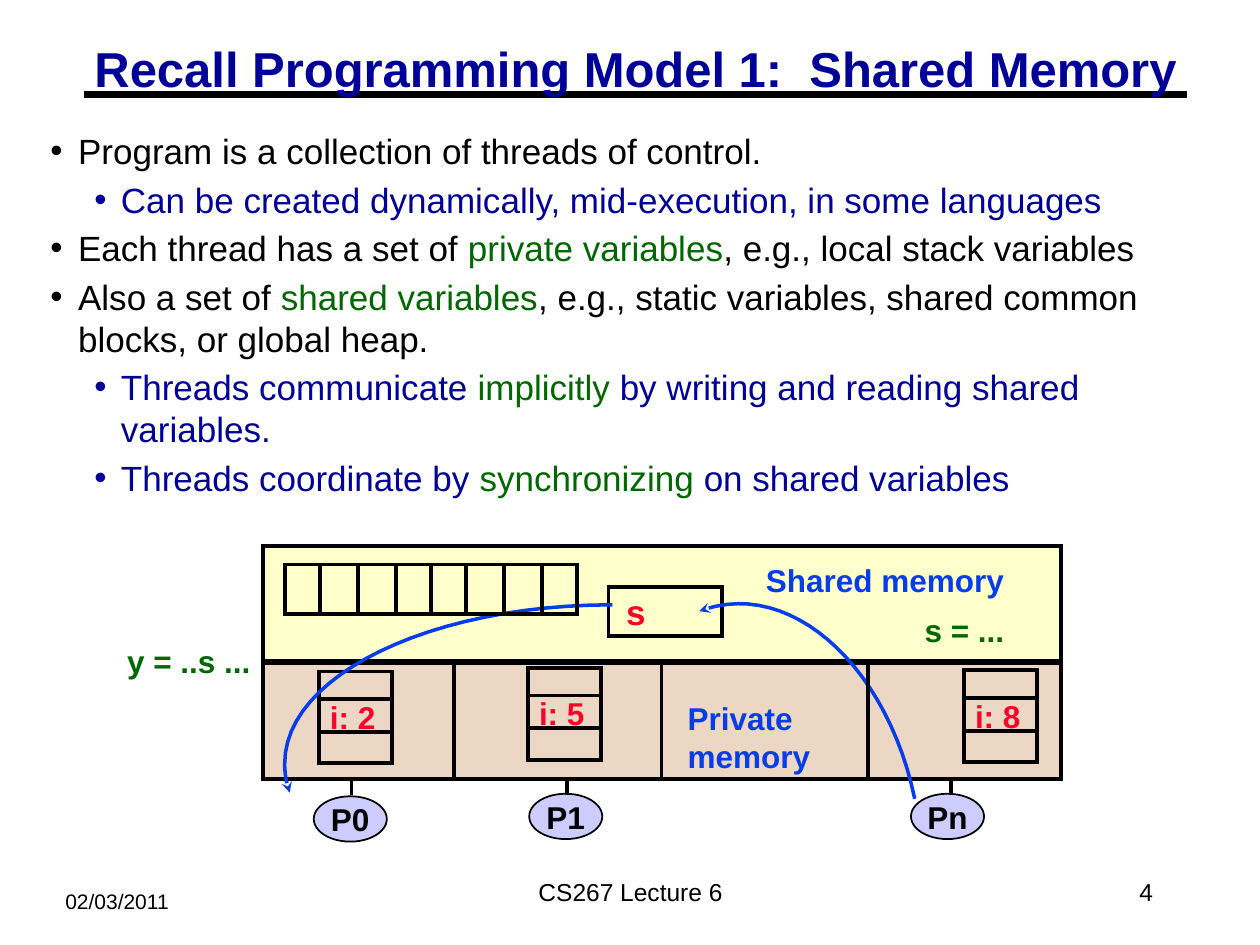
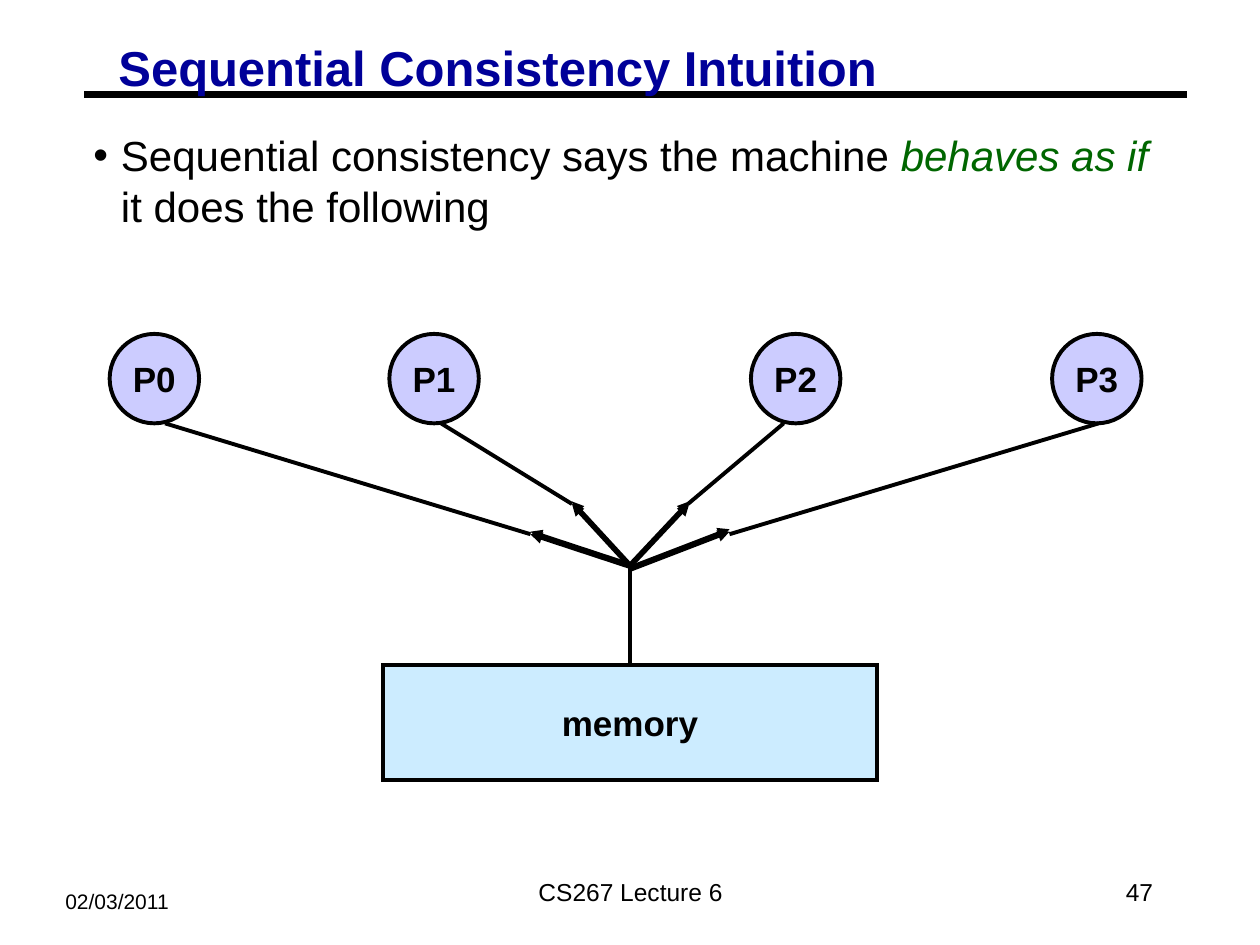
from dataclasses import dataclass
from typing import Optional

from lxml.etree import SubElement
from pptx import Presentation
from pptx.dml.color import RGBColor
from pptx.enum.shapes import MSO_CONNECTOR, MSO_SHAPE
from pptx.enum.text import MSO_ANCHOR, PP_ALIGN
from pptx.oxml.ns import qn
from pptx.util import Inches, Pt

BLACK = RGBColor(0x00, 0x00, 0x00)
NAVY = RGBColor(0x00, 0x00, 0x99)
GREEN = RGBColor(0x00, 0x66, 0x00)
RED = RGBColor(0xFC, 0x01, 0x28)
BLUE = RGBColor(0x06, 0x3D, 0xE8)
LILAC = RGBColor(0xCC, 0xCC, 0xFF)
CREAM = RGBColor(0xFF, 0xFF, 0xCC)
TAN = RGBColor(0xEB, 0xD7, 0xC3)
PALE_BLUE = RGBColor(0xCC, 0xEC, 0xFF)
FONT = "Arial"
LINE_WIDTH = 2.25

Point = tuple[float, float]
Rect = tuple[float, float, float, float]


@dataclass(frozen=True)
class Style:
    size: float = 18
    color: RGBColor = BLACK
    bold: bool = False
    align: PP_ALIGN = PP_ALIGN.LEFT
    anchor: MSO_ANCHOR = MSO_ANCHOR.TOP
    wrap: bool = False
    margins: Point = (0.1, 0.05)


@dataclass(frozen=True)
class Span:
    text: str
    color: Optional[RGBColor] = None
    italic: bool = False


@dataclass(frozen=True)
class Bullet:
    spans: list[Span]
    level: int = 0


@dataclass(frozen=True)
class Thread:
    name: str
    ellipse: Point
    record: Point
    value: str
    stem: float


TITLE = Style(28, NAVY, True, wrap=True, margins=(0.07, 0.03))
DATE = Style(12, wrap=True)
FOOTER = Style(14, align=PP_ALIGN.CENTER, anchor=MSO_ANCHOR.MIDDLE)
PAGE_NUMBER = Style(14, align=PP_ALIGN.RIGHT, anchor=MSO_ANCHOR.MIDDLE)
SMALL_NODE = Style(18, BLACK, True, PP_ALIGN.CENTER, MSO_ANCHOR.MIDDLE)
NODE = Style(20, BLACK, True, PP_ALIGN.CENTER, MSO_ANCHOR.MIDDLE)
VARIABLE = Style(20, RED, True, anchor=MSO_ANCHOR.MIDDLE, margins=(0.14, 0.05))
VALUE = Style(18, RED, True)
CODE = Style(18, GREEN, True)
REGION = Style(18, BLUE, True)
WRAPPED_REGION = Style(18, BLUE, True, wrap=True)

BULLET_COLORS = [BLACK, NAVY]
BULLET_INDENTS = [(0.22, -0.22), (0.56, -0.21)]


def inches(values) -> list:
    return [Inches(value) for value in values]


def set_frame(frame, style: Style) -> None:
    frame.word_wrap = style.wrap
    frame.vertical_anchor = style.anchor
    frame.margin_left = frame.margin_right = Inches(style.margins[0])
    frame.margin_top = frame.margin_bottom = Inches(style.margins[1])


def set_font(run, size: float, color: RGBColor, bold: bool = False) -> None:
    run.font.name = FONT
    run.font.size = Pt(size)
    run.font.color.rgb = color
    run.font.bold = bold


def write(frame, text: str, style: Style) -> None:
    set_frame(frame, style)
    frame.text = text
    paragraph = frame.paragraphs[0]
    paragraph.alignment = style.align
    set_font(paragraph.runs[0], style.size, style.color, style.bold)


def add_label(page, at: Rect, text: str, style: Style):
    box = page.shapes.add_textbox(*inches(at))
    write(box.text_frame, text, style)
    return box


def add_node(page, kind: MSO_SHAPE, at: Rect, fill: Optional[RGBColor] = None,
             text: str = "", style: Style = NODE, width: float = LINE_WIDTH):
    shape = page.shapes.add_shape(kind, *inches(at))
    shape.shadow.inherit = False
    if fill is None:
        shape.fill.background()
    else:
        shape.fill.solid()
        shape.fill.fore_color.rgb = fill
    shape.line.color.rgb = BLACK
    shape.line.width = Pt(width)
    SubElement(shape.line._get_or_add_ln(), qn("a:miter"), lim="800000")
    if text:
        write(shape.text_frame, text, style)
    return shape


def add_line(page, start: Point, end: Point, width: float = LINE_WIDTH, arrow: bool = False):
    line = page.shapes.add_connector(MSO_CONNECTOR.STRAIGHT, *inches(start + end))
    line.line.color.rgb = BLACK
    line.line.width = Pt(width)
    if arrow:
        SubElement(line.line._get_or_add_ln(), qn("a:tailEnd"), type="triangle")
    SubElement(line._element.spPr, qn("a:effectLst"))
    return line


def curve_points(start: Point, segments: list[tuple[Point, Point, Point]],
                 steps: int = 24) -> list[Point]:
    """Sample a chain of cubic Bezier segments."""
    points = [start]
    for first, second, end in segments:
        origin = points[-1]
        for step in range(1, steps + 1):
            t = step / steps
            weights = ((1 - t) ** 3, 3 * t * (1 - t) ** 2, 3 * t * t * (1 - t), t ** 3)
            corners = (origin, first, second, end)
            points.append(tuple(sum(w * corner[axis] for w, corner in zip(weights, corners))
                                for axis in (0, 1)))
    return points


def add_access_curve(page, points: list[Point]) -> None:
    """Draw an open curve with its arrowhead at the first point."""
    start, *rest = [inches(point) for point in points]
    builder = page.shapes.build_freeform(*start)
    builder.add_line_segments(rest, close=False)
    curve = builder.convert_to_shape()
    curve.shadow.inherit = False
    curve.fill.background()
    curve.line.color.rgb = BLUE
    curve.line.width = Pt(2)
    SubElement(curve.line._get_or_add_ln(), qn("a:headEnd"), type="stealth")


def add_bullets(page, at: Rect, bullets: list[Bullet], size: float, gap: float) -> None:
    frame = page.shapes.add_textbox(*inches(at)).text_frame
    set_frame(frame, Style(wrap=True, margins=(0.07, 0.03)))
    for index, bullet in enumerate(bullets):
        paragraph = frame.add_paragraph() if index else frame.paragraphs[0]
        color = BULLET_COLORS[bullet.level]
        paragraph.level = bullet.level
        if index:
            paragraph.space_before = Pt(gap)
        properties = paragraph._p.get_or_add_pPr()
        margin, indent = BULLET_INDENTS[bullet.level]
        properties.set("marL", str(Inches(margin)))
        properties.set("indent", str(Inches(indent)))
        SubElement(SubElement(properties, qn("a:buClr")), qn("a:srgbClr"), val=str(color))
        SubElement(properties, qn("a:buFont"), typeface=FONT)
        SubElement(properties, qn("a:buChar"), char="•")
        for span in bullet.spans:
            run = paragraph.add_run()
            run.text = span.text
            set_font(run, size, span.color or color)
            run.font.italic = span.italic


def add_page(deck, title: str, title_at: Rect, number: int):
    page = deck.slides.add_slide(deck.slide_layouts[6])
    add_line(page, (0.67, 0.75), (9.42, 0.75), 3.75)
    add_label(page, (0.42, 7, 1.92, 0.3), "02/03/2011", DATE)
    add_label(page, (3.42, 6.83, 3.17, 0.5), "CS267 Lecture 6", FOOTER)
    add_label(page, (7.17, 6.83, 2.08, 0.5), str(number), PAGE_NUMBER)
    heading = add_label(page, title_at, title, TITLE)
    heading.text_frame.paragraphs[0].line_spacing = 0.87
    return page


def add_array(page, left: float) -> None:
    top = 4.48
    for cell in range(3):
        x = left + 0.28 + 0.3 * cell
        add_line(page, (x, top), (x, top + 0.4))
    add_node(page, MSO_SHAPE.RECTANGLE, (left, top, 1.16, 0.39))


def add_thread(page, thread: Thread) -> None:
    add_node(page, MSO_SHAPE.OVAL, thread.ellipse + (0.58, 0.36), LILAC,
             thread.name, SMALL_NODE, 1)
    add_line(page, (thread.stem, 6.31), (thread.stem, 6.18))
    left, top = thread.record
    add_label(page, (left - 0.01, top + 0.16, 0.56, 0.4), thread.value, VALUE)
    add_node(page, MSO_SHAPE.RECTANGLE, (left, top, 0.58, 0.73))
    for offset in (0.22, 0.48):
        add_line(page, (left, top + offset), (left + 0.58, top + offset))


def add_shared_memory_page(deck) -> None:
    page = add_page(deck, "Recall Programming Model 1:  Shared Memory",
                    (0.68, 0.34, 8.83, 0.47), 4)
    add_bullets(page, (0.33, 1, 9.16, 2.98), [
        Bullet([Span("Program is a collection of threads of control.")]),
        Bullet([Span("Can be created dynamically, mid-execution, in some languages")], 1),
        Bullet([Span("Each thread has a set of "), Span("private variables", GREEN),
                Span(", e.g., local stack variables")]),
        Bullet([Span("Also a set of "), Span("shared variables", GREEN),
                Span(", e.g., static variables, shared common blocks, or global heap.")]),
        Bullet([Span("Threads communicate "), Span("implicitly", GREEN),
                Span(" by writing and reading shared variables.")], 1),
        Bullet([Span("Threads coordinate by "), Span("synchronizing ", GREEN),
                Span("on shared variables")], 1),
    ], 20, 3.7)

    for top, fill in ((4.33, CREAM), (5.26, TAN)):
        add_node(page, MSO_SHAPE.RECTANGLE, (2.09, top, 6.33, 0.92), fill)
    add_node(page, MSO_SHAPE.RECTANGLE, (4.83, 4.66, 0.9, 0.39), None, "s", VARIABLE, 2)
    for thread in (Thread("P0", (2.49, 6.32), (2.53, 5.33), "i: 2", 2.79),
                   Thread("P1", (4.2, 6.3), (4.19, 5.3), "i: 5", 4.5),
                   Thread("Pn", (7.23, 6.3), (7.65, 5.32), "i: 8", 7.55)):
        add_thread(page, thread)

    add_access_curve(page, curve_points((2.3, 6.29), [
        ((2.27, 6.21), (2.26, 6.13), (2.26, 6.06)),
        ((2.26, 5.36), (3.42, 4.8), (4.86, 4.8))]))
    add_access_curve(page, curve_points((5.55, 4.85), [
        ((5.6, 4.83), (5.65, 4.82), (5.69, 4.81)),
        ((6.35, 4.67), (7.05, 5.33), (7.26, 6.34))]))
    for left in (2.26, 3.42):
        add_array(page, left)
    for divider in (3.6, 5.25, 6.89):
        add_line(page, (divider, 6.17), (divider, 5.25))

    add_label(page, (5.98, 4.4, 2.09, 0.4), "Shared memory", REGION)
    add_label(page, (5.36, 5.5, 1.33, 0.7), "Private memory", WRAPPED_REGION)
    add_label(page, (7.24, 4.8, 0.83, 0.4), "s = ...", CODE)
    add_label(page, (0.91, 5.05, 1.18, 0.4), "y = ..s ...", CODE)


def add_consistency_page(deck) -> None:
    page = add_page(deck, "Sequential Consistency Intuition", (0.87, 0.33, 8.54, 0.46), 47)
    add_bullets(page, (0.67, 1, 8.75, 0.86), [
        Bullet([Span("Sequential consistency says the machine "),
                Span("behaves as if", GREEN, True), Span(" it does the following")]),
    ], 24, 4.5)

    memory = add_node(page, MSO_SHAPE.RECTANGLE, (3.04, 5.28, 3.92, 0.91), PALE_BLUE, "memory")
    for index, left in enumerate((0.87, 3.09, 5.96, 8.35)):
        add_node(page, MSO_SHAPE.OVAL, (left, 2.65, 0.71, 0.71), LILAC, f"P{index}")
    add_line(page, (5, 5.28), (5, 4.5)).begin_connect(memory, 0)
    for start, end in (((1.31, 3.36), (4.21, 4.24)), ((3.5, 3.36), (4.54, 4)),
                       ((6.22, 3.36), (5.46, 4)), ((8.72, 3.36), (5.79, 4.24))):
        add_line(page, start, end)

    switch_arrows = (((5, 4.5), (4.21, 4.24)), ((5, 4.5), (4.54, 4)),
                     ((5, 4.5), (5.47, 4)), ((5.01, 4.52), (5.79, 4.22)))
    for rise in (0, 0.02):
        for (x1, y1), (x2, y2) in switch_arrows:
            add_line(page, (x1, y1 - rise), (x2, y2 - rise), arrow=True)


def main() -> None:
    deck = Presentation()
    deck.slide_width = Inches(10)
    deck.slide_height = Inches(7.5)
    add_shared_memory_page(deck)
    add_consistency_page(deck)
    deck.save("out.pptx")


if __name__ == "__main__":
    main()
